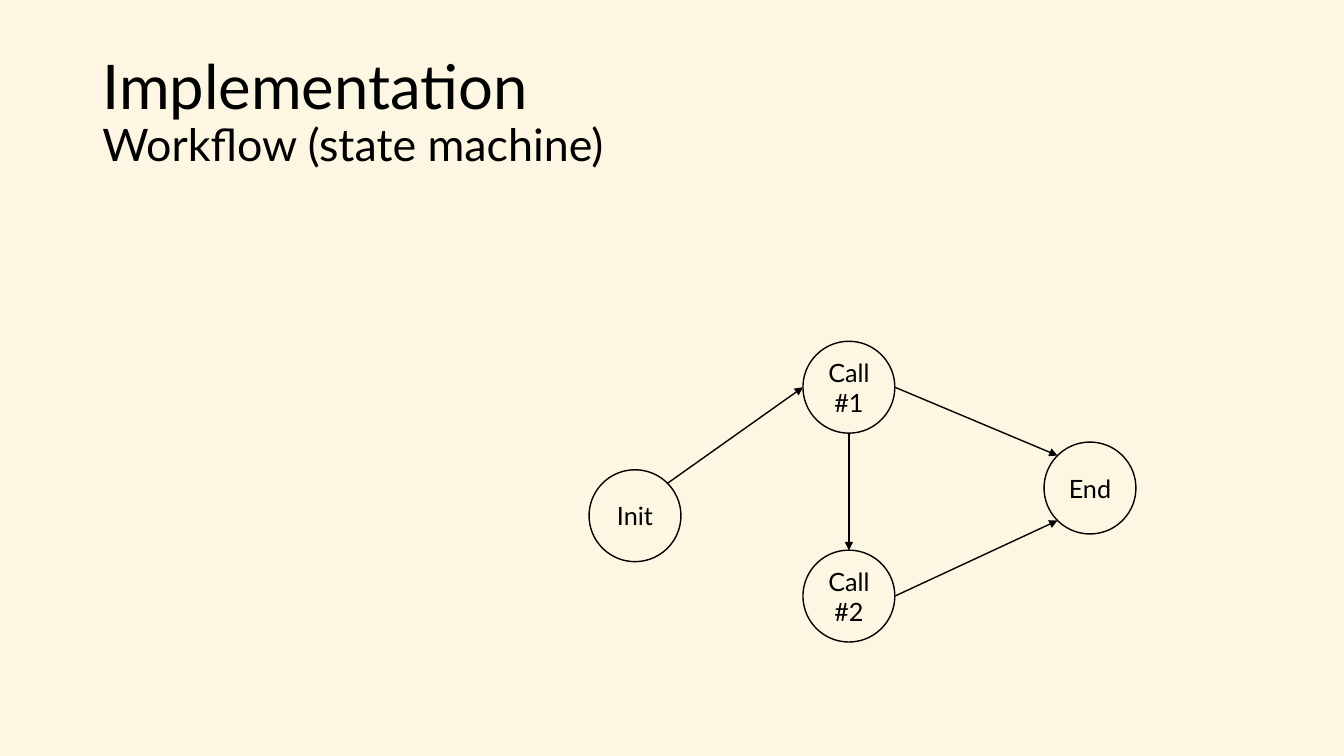
from math import cos, radians, sin

from lxml import etree
from pptx import Presentation
from pptx.dml.color import RGBColor
from pptx.enum import shapes, text
from pptx.oxml.ns import qn
from pptx.util import Pt

FONT = "Lato"
INK = "000000"
PAPER = "FDF6E3"
DIAMETER = 65.6

# State: (left, top) within the diagram
STATES = {
    "Init": (0, 91.8),
    "Call #1": (152.8, 0),
    "End": (325, 72),
    "Call #2": (152.8, 149.2),
}
# From state, angle on its circle, to state, angle on its circle
# (degrees clockwise from the right)
TRANSITIONS = [
    ("Init", -45, "Call #1", 180),
    ("Call #1", 0, "End", -135),
    ("Call #1", 90, "Call #2", -90),
    ("Call #2", 0, "End", 135),
]


def colour(hex_string):
    return RGBColor.from_string(hex_string)


def style_run(run, size):
    run.font.name = FONT
    run.font.size = Pt(size)
    run.font.color.rgb = colour(INK)


def add_heading(slide, left, top, width, height):
    box = slide.shapes.add_textbox(Pt(left), Pt(top), Pt(width), Pt(height))
    frame = box.text_frame
    frame.word_wrap = True
    frame.vertical_anchor = text.MSO_ANCHOR.MIDDLE
    frame.text = "Implementation\vWorkflow (state machine)"
    heading = frame.paragraphs[0]
    heading.line_spacing = 0.9
    for run, size in zip(heading.runs, (44, 32)):
        style_run(run, size)


def add_state(slide, name, left, top):
    state = slide.shapes.add_shape(
        shapes.MSO_SHAPE.OVAL, Pt(left), Pt(top), Pt(DIAMETER), Pt(DIAMETER))
    state.shadow.inherit = False
    state.fill.background()
    state.line.color.rgb = colour(INK)
    state.line.width = Pt(1)
    frame = state.text_frame
    frame.word_wrap = True
    frame.vertical_anchor = text.MSO_ANCHOR.MIDDLE
    frame.text = name
    label = frame.paragraphs[0]
    label.alignment = text.PP_ALIGN.CENTER
    style_run(label.runs[0], 18)


def rim_point(left, top, angle):
    radius = DIAMETER / 2
    return (Pt(left + radius + radius * cos(radians(angle))),
            Pt(top + radius + radius * sin(radians(angle))))


def add_transition(slide, start, end):
    arrow = slide.shapes.add_connector(
        shapes.MSO_CONNECTOR.STRAIGHT, *start, *end)
    arrow.line.color.rgb = colour(INK)
    arrow.line.width = Pt(1)
    etree.SubElement(arrow.line._get_or_add_ln(), qn("a:tailEnd"),
                     type="triangle")
    etree.SubElement(arrow._element.spPr, qn("a:effectLst"))


def add_state_machine(slide, left, top):
    corners = {name: (left + x, top + y) for name, (x, y) in STATES.items()}
    for name, corner in corners.items():
        add_state(slide, name, *corner)
    for source, exit_angle, target, entry_angle in TRANSITIONS:
        add_transition(slide, rim_point(*corners[source], exit_angle),
                       rim_point(*corners[target], entry_angle))


def main():
    deck = Presentation()
    deck.slide_width, deck.slide_height = Pt(960), Pt(540)
    slide = deck.slides.add_slide(deck.slide_layouts[6])
    slide.background.fill.solid()
    slide.background.fill.fore_color.rgb = colour(PAPER)

    add_heading(slide, 66, 28.8, 828, 104.4)
    add_state_machine(slide, 420.8, 243.8)
    deck.save("out.pptx")


if __name__ == "__main__":
    main()
